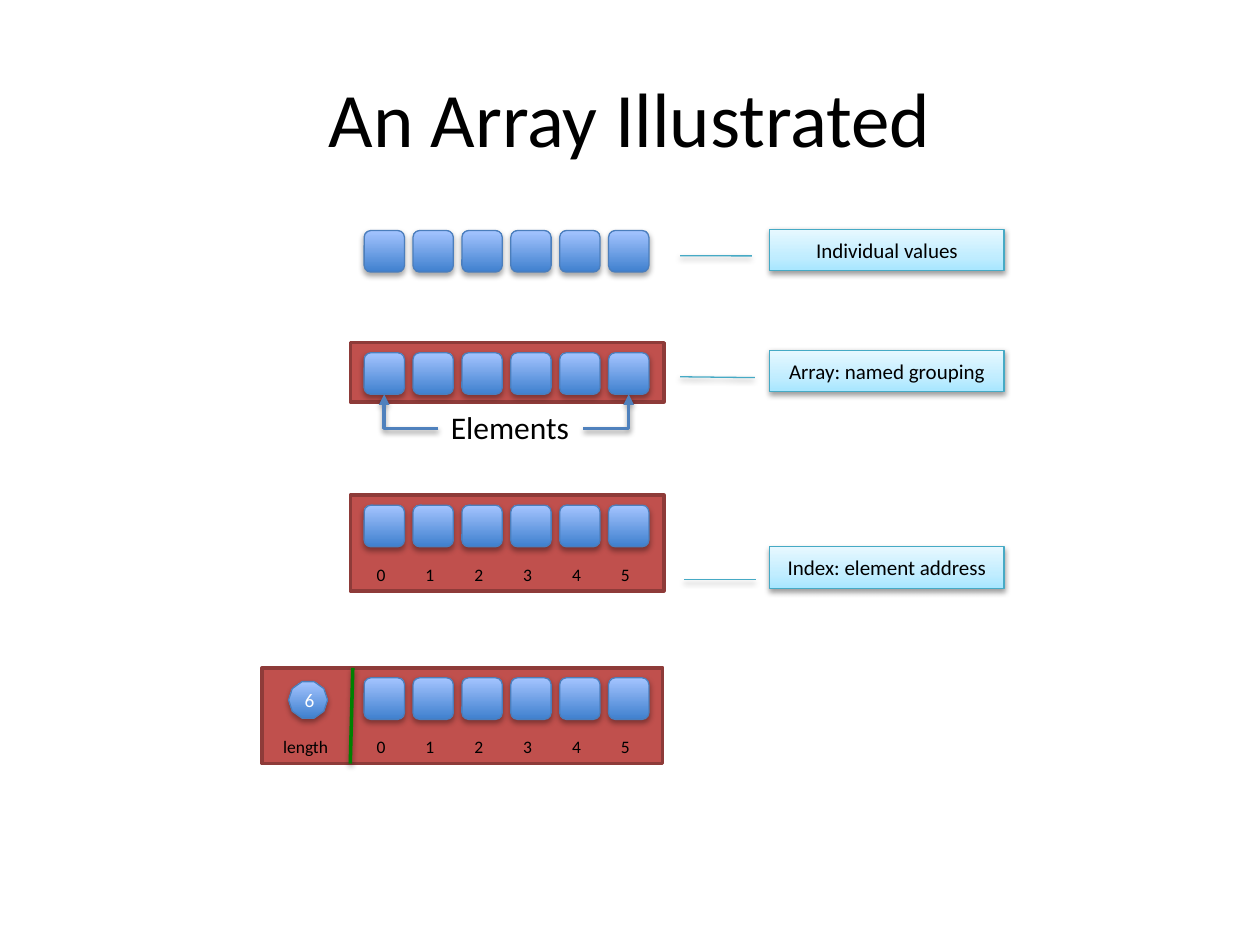
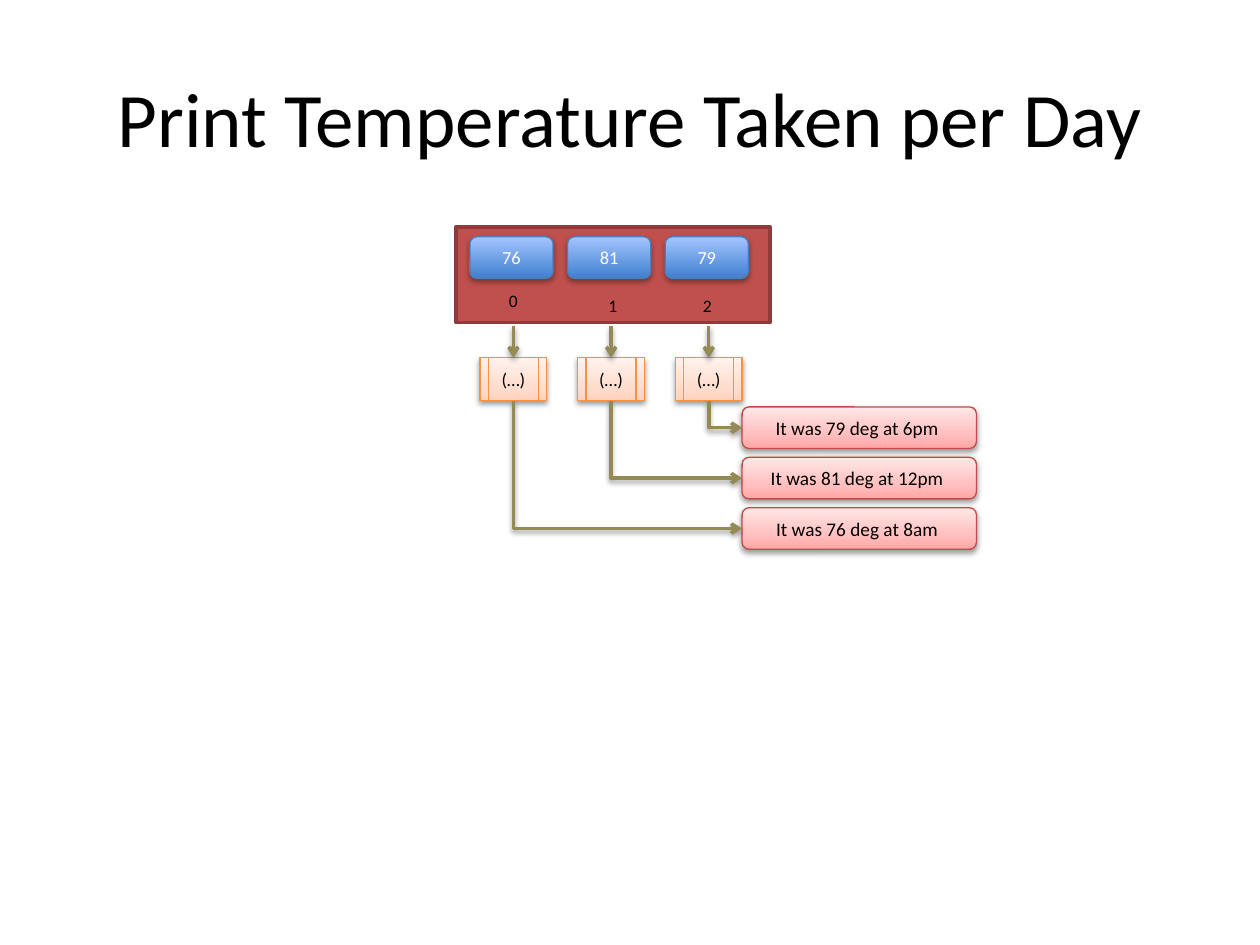
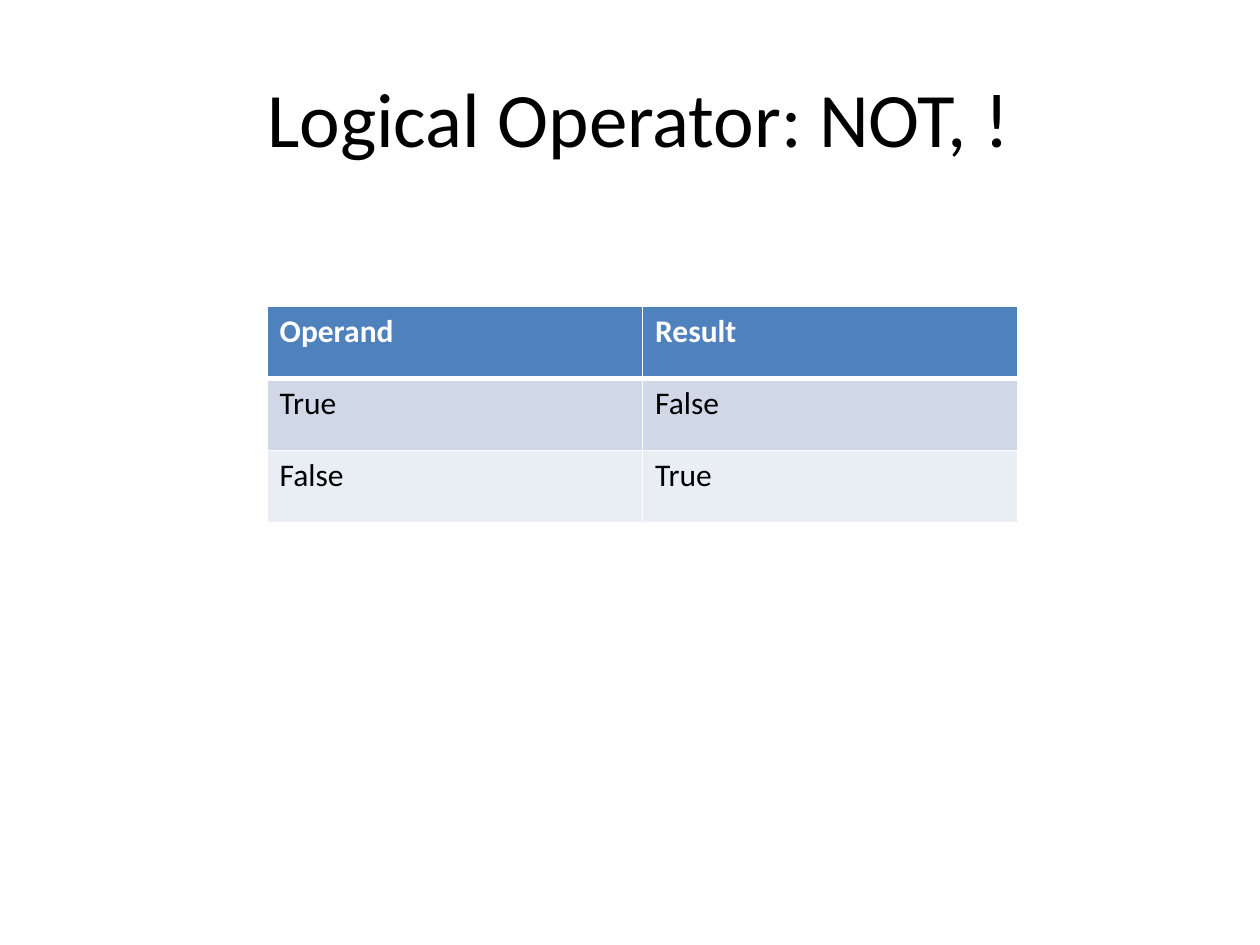
"""Build three slides on arrays, printed temperatures and the NOT operator."""
from collections import namedtuple
from dataclasses import dataclass

from lxml.etree import SubElement
from pptx import Presentation
from pptx.dml.color import RGBColor
from pptx.enum.shapes import MSO_CONNECTOR as CONNECTOR, MSO_SHAPE as SHAPE
from pptx.enum.text import MSO_ANCHOR as ANCHOR, MSO_AUTO_SIZE as AUTO_SIZE, PP_ALIGN as ALIGN
from pptx.oxml import parse_xml
from pptx.oxml.ns import nsdecls, qn
from pptx.util import Inches, Pt

Style = namedtuple("Style", "stops line line_width text size shadow")
Shadow = namedtuple("Shadow", "opacity distance")


@dataclass(frozen=True)
class Theme:
    font: str = "Calibri"
    black: str = "000000"
    white: str = "FFFFFF"
    accent: str = "4F81BD"
    olive: str = "948A54"
    green: str = "008000"
    bands: tuple = ("4F81BD", "D0D8E8", "E9EDF4")
    title_size: float = 44
    body_size: float = 18
    index_size: float = 10
    line_width: float = 2
    soft: Shadow = Shadow(38, 1.6)
    deep: Shadow = Shadow(35, 1.8)
    frame: Style = Style({0: "C0504D"}, "8E3B39", 2, "000000", 10, None)
    value: Style = Style({0: "3F80CE", 100: "A4C4FF"}, "4B7EBC", 0.75, "FFFFFF", 10.5, deep)
    length: Style = value._replace(size=11)
    callout: Style = Style({0: "A7E6FF", 35: "C1EDFF", 100: "E7F8FF"}, "46AAC5", 0.75, "000000", 12, soft)
    process: Style = Style({0: "FFD2BD", 35: "FFDED0", 100: "FFF2ED"}, "F69240", 0.75, "000000", 10.5, soft)
    result: Style = Style({0: "FFA6A5", 35: "FFC0BF", 100: "FFE7E7"}, "BF4C48", 0.75, "000000", 11, soft)
    shadow_xml: str = (
        f'<a:outerShdw {nsdecls("a")} blurRad="40000" dist="%d" dir="5400000" rotWithShape="0">'
        '<a:srgbClr val="000000"><a:alpha val="%d"/></a:srgbClr></a:outerShdw>'
    )


THEME = Theme()


def add_box(slide, kind, at, style=None, text="", size=THEME.index_size, align=ALIGN.LEFT, wrap=True):
    """Add a styled shape, or a plain text box when kind is None."""
    place = [Inches(length) for length in at]
    if kind is None:
        shape = slide.shapes.add_textbox(*place)
        color = THEME.black
        shape.text_frame.auto_size = AUTO_SIZE.SHAPE_TO_FIT_TEXT
    else:
        shape = slide.shapes.add_shape(kind, *place)
        color, size, align = style.text, style.size, ALIGN.CENTER
        shape.text_frame.vertical_anchor = ANCHOR.MIDDLE
        shape.line.color.rgb = RGBColor.from_string(style.line)
        shape.line.width = Pt(style.line_width)
        if len(style.stops) == 1:
            shape.fill.solid()
            shape.fill.fore_color.rgb = RGBColor.from_string(style.stops[0])
        else:
            shape.fill.gradient()
            shape.fill.gradient_angle = 90
            stop_list = shape.element.spPr.find(".//" + qn("a:gsLst"))
            for stop in list(stop_list):
                stop_list.remove(stop)
            for position, stop_color in style.stops.items():
                stop = SubElement(stop_list, qn("a:gs"), pos=str(position * 1000))
                SubElement(stop, qn("a:srgbClr"), val=stop_color)
        shape.shadow.inherit = False
        if style.shadow:
            effects = shape.element.spPr.find(qn("a:effectLst"))
            effects.append(parse_xml(THEME.shadow_xml % (Pt(style.shadow.distance), style.shadow.opacity * 1000)))
    shape.text_frame.word_wrap = wrap
    if text:
        paragraph = shape.text_frame.paragraphs[0]
        paragraph.alignment = align
        run = paragraph.add_run()
        run.text = text
        run.font.name = THEME.font
        run.font.size = Pt(size)
        run.font.color.rgb = RGBColor.from_string(color)
    return shape


def add_line(slide, start, end, color, arrow=None, bend=None):
    """Add a straight line, or one with a corner whose first leg is 'across' or 'down'."""
    (x1, y1), (x2, y2) = start, end
    if bend == "down":
        middle_x, middle_y = (x1 + x2) / 2, (y1 + y2) / 2
        half_width, half_height = (y2 - y1) / 2, (x2 - x1) / 2
        x1, x2 = middle_x + half_width, middle_x - half_width
        y1, y2 = middle_y - half_height, middle_y + half_height
    kind = CONNECTOR.ELBOW if bend else CONNECTOR.STRAIGHT
    connector = slide.shapes.add_connector(kind, *[Inches(length) for length in (x1, y1, x2, y2)])
    properties = connector.element.spPr
    if bend:
        properties.find(qn("a:prstGeom")).set("prst", "bentConnector2")
    if bend == "down":
        properties.find(qn("a:xfrm")).set("rot", "16200000")
    connector.line.color.rgb = RGBColor.from_string(color)
    connector.line.width = Pt(THEME.line_width)
    if arrow:
        SubElement(properties.find(qn("a:ln")), qn("a:tailEnd"), type=arrow)
    effects = SubElement(properties, qn("a:effectLst"))
    effects.append(parse_xml(THEME.shadow_xml % (Pt(THEME.soft.distance), THEME.soft.opacity * 1000)))
    return connector


presentation = Presentation()
presentation.slide_width, presentation.slide_height = Inches(10), Inches(7.5)
slides = []
for heading in ("An Array Illustrated", "Print Temperature Taken per Day", " Logical Operator: NOT, !"):
    slide = presentation.slides.add_slide(presentation.slide_layouts[5])
    title = slide.shapes.title
    title.left, title.top, title.width, title.height = [Inches(length) for length in (0.5, 0.3, 9, 1.25)]
    title.text_frame.vertical_anchor = ANCHOR.MIDDLE
    paragraph = title.text_frame.paragraphs[0]
    paragraph.alignment = ALIGN.CENTER
    run = paragraph.add_run()
    run.text = heading
    run.font.name = THEME.font
    run.font.size = Pt(THEME.title_size)
    run.font.color.rgb = RGBColor.from_string(THEME.black)
    slides.append(slide)
array_slide, temperature_slide, operator_slide = slides

array_rows = (
    (1.83, None, False),
    (2.8, (2.78, 2.72, 2.49, 0.47), False),
    (4.01, (2.78, 3.93, 2.49, 0.76), True),
    (5.38, (2.08, 5.3, 3.18, 0.76), True),
)
for top, frame, indexed in array_rows:
    if frame:
        add_box(array_slide, SHAPE.RECTANGLE, frame, THEME.frame)
    for index in range(6):
        left = 2.89 + 0.388 * index
        add_box(array_slide, SHAPE.ROUNDED_RECTANGLE, (left, top, 0.32, 0.33), THEME.value)
        if indexed:
            add_box(array_slide, None, (left, top + 0.415, 0.32, 0.27), text=str(index))

callouts = (
    (1.82, "Individual values", (0.64, -0.077, 0.639, -0.383)),
    (2.78, "Array: named grouping", (0.659, -0.064, 0.639, -0.383)),
    (4.34, "Index: element address", (0.791, -0.06, 0.79, -0.367)),
)
for top, text, pointer in callouts:
    callout = add_box(array_slide, SHAPE.LINE_CALLOUT_1, (6.11, top, 1.86, 0.33), THEME.callout, text)
    for number, value in enumerate(pointer):
        callout.adjustments[number] = value

add_box(array_slide, SHAPE.DECAGON, (2.29, 5.41, 0.31, 0.29), THEME.length, "6")
add_line(array_slide, (2.8, 5.3), (2.78, 6.06), THEME.green)
add_box(array_slide, None, (2.08, 5.79, 0.69, 0.27), text="length", align=ALIGN.CENTER)
add_box(array_slide, None, (3.48, 3.19, 1.16, 0.4), text="Elements", size=THEME.body_size, wrap=False)
for start_x, element_x in ((3.48, 3.05), (4.63, 4.99)):
    add_line(array_slide, (start_x, 3.4), (element_x, 3.13), THEME.accent, "triangle", "across")

add_box(temperature_slide, SHAPE.RECTANGLE, (3.62, 1.8, 2.49, 0.76), THEME.frame)
readings = (
    ("76", "8am", 3.94, 2.25),
    ("81", "12pm", 4.73, 2.29),
    ("79", "6pm", 5.48, 2.29),
)
for index, (degrees, hour, label_left, label_top) in enumerate(readings):
    offset = 0.775 * index
    process_middle = 4.075 + offset
    result_top = 4.03 - 0.4 * index
    add_box(temperature_slide, SHAPE.ROUNDED_RECTANGLE, (3.73 + offset, 1.88, 0.66, 0.33), THEME.value, degrees)
    add_box(temperature_slide, None, (label_left, label_top, 0.32, 0.27), text=str(index))
    process = add_box(temperature_slide, SHAPE.FLOWCHART_PREDEFINED_PROCESS,
                      (3.81 + offset, 2.84, 0.53, 0.34), THEME.process, "(…)")
    arrow = add_line(temperature_slide, (process_middle, 2.59), (process_middle, 2.84), THEME.olive, "arrow")
    arrow.end_connect(process, 0)
    add_box(temperature_slide, SHAPE.ROUNDED_RECTANGLE, (5.89, result_top, 1.86, 0.33), THEME.result,
            f"It was {degrees} deg at {hour} ")
    add_line(temperature_slide, (process_middle, 3.18), (5.89, result_top + 0.165), THEME.olive, "arrow", "down")

truth_rows = (("Operand", "Result"), ("True", "False"), ("False", "True"))
table = operator_slide.shapes.add_table(3, 2, Inches(2.12), Inches(2.43), Inches(5.96), Inches(1.72)).table
for row_number, texts in enumerate(truth_rows):
    for column_number, text in enumerate(texts):
        cell = table.cell(row_number, column_number)
        cell_properties = cell._tc.get_or_add_tcPr()
        widths = {"L": 1, "R": 1, "T": 3 if row_number == 1 else 1, "B": 3 if row_number == 0 else 1}
        for side, width in widths.items():
            border = SubElement(cell_properties, qn(f"a:ln{side}"), w=str(Pt(width)))
            SubElement(SubElement(border, qn("a:solidFill")), qn("a:srgbClr"), val=THEME.white)
        cell.fill.solid()
        cell.fill.fore_color.rgb = RGBColor.from_string(THEME.bands[row_number])
        run = cell.text_frame.paragraphs[0].add_run()
        run.text = text
        run.font.name = THEME.font
        run.font.size = Pt(THEME.body_size)
        run.font.bold = row_number == 0
        run.font.color.rgb = RGBColor.from_string(THEME.black if row_number else THEME.white)

presentation.save("out.pptx")
